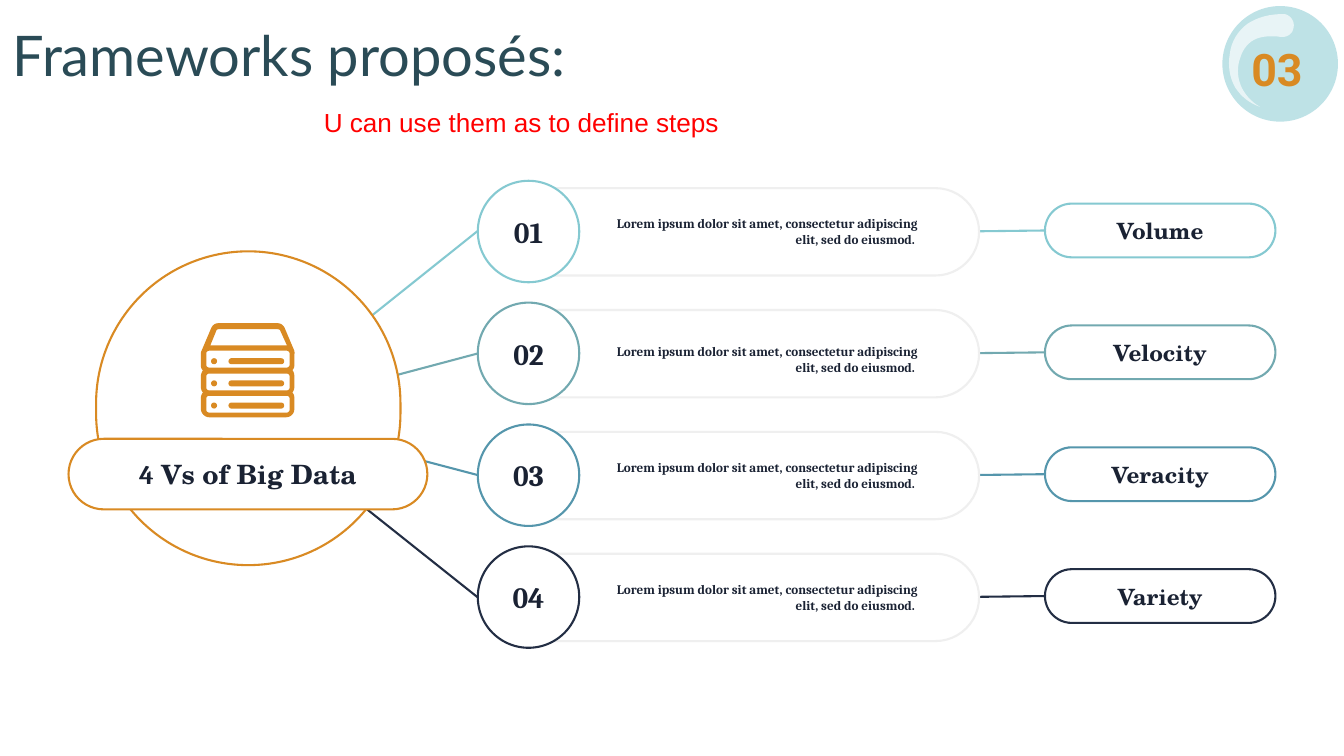
import lxml.etree
import pptx
import pptx.dml.color
import pptx.enum.shapes
import pptx.enum.text
import pptx.oxml
import pptx.oxml.ns
import pptx.util

Inches = pptx.util.Inches
Pt = pptx.util.Pt
RGBColor = pptx.dml.color.RGBColor
KIND = pptx.enum.shapes.MSO_SHAPE
ALIGN = pptx.enum.text.PP_ALIGN
ANCHOR = pptx.enum.text.MSO_ANCHOR
qn = pptx.oxml.ns.qn

WHITE = RGBColor(0xFF, 0xFF, 0xFF)
INK = RGBColor(0x1A, 0x22, 0x33)
SLATE = RGBColor(0x2A, 0x4B, 0x56)
RED = RGBColor(0xFF, 0x00, 0x00)
ORANGE = RGBColor(0xD9, 0x8A, 0x23)
TEAL = RGBColor(0x47, 0xAE, 0xBA)
PALE = RGBColor(0xEF, 0xEF, 0xEF)
TINTS = [
    RGBColor(0x85, 0xC9, 0xD1),
    RGBColor(0x72, 0xA9, 0xB0),
    RGBColor(0x55, 0x96, 0xAC),
    RGBColor(0x23, 0x2E, 0x44),
]
SERIF = "TeX Gyre Schola"
PITCH = 5.44 / 3

deck = pptx.Presentation()
deck.slide_width = Inches(20)
deck.slide_height = Inches(11.25)
slide = deck.slides.add_slide(deck.slide_layouts[5])
shapes = slide.shapes


def form(kind, left, top, width, height, fill, line=None):
    shape = shapes.add_shape(kind, Inches(left), Inches(top), Inches(width), Inches(height))
    shape.shadow.inherit = False
    shape.fill.solid()
    shape.fill.fore_color.rgb = fill
    if line is None:
        shape.line.fill.background()
    else:
        shape.line.color.rgb = line
        shape.line.width = Pt(2.25)
    if kind == KIND.ROUNDED_RECTANGLE:
        shape.adjustments[0] = 0.5
    return shape


def write(shape, text, size, font, color, bold=True, align=ALIGN.CENTER,
          anchor=ANCHOR.MIDDLE, pad=(0.15, 0.15)):
    frame = shape.text_frame
    frame.word_wrap = True
    frame.auto_size = pptx.enum.text.MSO_AUTO_SIZE.NONE
    frame.vertical_anchor = anchor
    frame.margin_left = frame.margin_right = Inches(pad[0])
    frame.margin_top = frame.margin_bottom = Inches(pad[1])
    frame.text = text
    para = frame.paragraphs[0]
    para.alignment = align
    run = para.runs[0]
    run.font.size = Pt(size)
    run.font.name = font
    run.font.bold = bold
    run.font.color.rgb = color
    return para


title = shapes.title
title.left, title.top = Inches(0.19), Inches(0.09)
title.width, title.height = Inches(18.02), Inches(1.14)
para = write(title, "Frameworks proposés:", 60, "Lato", SLATE, False,
             ALIGN.LEFT, ANCHOR.TOP, (0, 0))
para.line_spacing = Pt(87.2)

bubble = form(KIND.OVAL, 18.19, 0.09, 1.72, 1.72, TEAL)

glint = [[
    (19.09, 0.21), (19.1, 0.21, 19.11, 0.21, 19.12, 0.21),
    (19.21, 0.23, 19.27, 0.32, 19.25, 0.41), (19.24, 0.5, 19.16, 0.55, 19.09, 0.55),
    (19.05, 0.55), (19.01, 0.54, 18.97, 0.54, 18.92, 0.54),
    (18.84, 0.54, 18.76, 0.55, 18.69, 0.58), (18.59, 0.62, 18.5, 0.72, 18.46, 0.85),
    (18.41, 0.98, 18.41, 1.13, 18.46, 1.26), (18.51, 1.39, 18.61, 1.51, 18.75, 1.59),
    (18.6, 1.54, 18.47, 1.44, 18.38, 1.3), (18.3, 1.16, 18.27, 0.98, 18.3, 0.81),
    (18.32, 0.62, 18.42, 0.46, 18.57, 0.35), (18.73, 0.25, 18.9, 0.21, 19.09, 0.21),
]]
rack = [
    [(3.25, 4.81), (3.2, 4.81, 3.16, 4.84, 3.14, 4.89), (3, 5.22),
     (2.99, 5.24, 2.99, 5.25, 2.99, 5.27), (2.99, 5.44),
     (2.99, 5.47, 3, 5.5, 3.02, 5.51), (3, 5.54, 2.99, 5.57, 2.99, 5.6), (2.99, 5.76),
     (2.99, 5.79, 3, 5.82, 3.02, 5.84), (3, 5.87, 2.99, 5.89, 2.99, 5.92), (2.99, 6.09),
     (2.99, 6.15, 3.05, 6.21, 3.11, 6.21), (4.26, 6.21),
     (4.33, 6.21, 4.38, 6.15, 4.38, 6.09), (4.38, 5.92),
     (4.38, 5.89, 4.37, 5.86, 4.35, 5.84), (4.37, 5.82, 4.38, 5.79, 4.38, 5.76),
     (4.38, 5.6), (4.38, 5.56, 4.37, 5.53, 4.35, 5.51),
     (4.37, 5.49, 4.38, 5.47, 4.38, 5.44), (4.38, 5.27),
     (4.39, 5.25, 4.38, 5.24, 4.38, 5.22), (4.24, 4.89),
     (4.22, 4.84, 4.18, 4.81, 4.13, 4.81)],
    [(4.13, 4.9), (4.15, 4.9, 4.17, 4.91, 4.17, 4.92), (4.27, 5.14), (3.13, 5.14),
     (3.22, 4.92), (3.22, 4.91, 3.24, 4.9, 3.25, 4.9)],
]
for top in (5.22, 5.56, 5.89):
    low = top + 0.25
    rack.append([
        (4.27, top), (4.29, top, 4.31, top + 0.02, 4.31, top + 0.04),
        (4.31, low - 0.04), (4.31, low - 0.02, 4.29, low, 4.27, low),
        (3.11, low), (3.09, low, 3.07, low - 0.02, 3.07, low - 0.04),
        (3.07, top + 0.04), (3.07, top + 0.02, 3.09, top, 3.11, top),
    ])

drawn = []
for loops, fill in ((glint, WHITE), (rack, ORANGE)):
    pen = None
    for loop in loops:
        spots = [loop[0]]
        for step in loop[1:]:
            if len(step) == 2:
                spots.append(step)
                continue
            ends = [spots[-1], step[:2], step[2:4], step[4:]]
            for tick in range(1, 9):
                t = tick / 8
                parts = ((1 - t) ** 3, 3 * t * (1 - t) ** 2, 3 * t * t * (1 - t), t ** 3)
                spots.append(tuple(sum(w * end[axis] for w, end in zip(parts, ends))
                                   for axis in (0, 1)))
        spots = [(Inches(x), Inches(y)) for x, y in spots]
        if pen is None:
            pen = shapes.build_freeform(*spots[0], scale=1.0)
        else:
            pen.move_to(*spots[0])
        pen.add_line_segments(spots[1:], close=True)
    shape = pen.convert_to_shape()
    shape.shadow.inherit = False
    shape.fill.solid()
    shape.fill.fore_color.rgb = fill
    shape.line.fill.background()
    drawn.append(shape)
shine, server = drawn

for shape, alpha in ((bubble, 35), (shine, 65)):
    color = shape.element.spPr.find(qn("a:solidFill")).find(qn("a:srgbClr"))
    lxml.etree.SubElement(color, qn("a:alpha")).set("val", str(alpha * 1000))

badge = shapes.add_textbox(Inches(18.42), Inches(0.37), Inches(1.19), Inches(1.25))
write(badge, "03", 48, "Roboto", ORANGE, True, ALIGN.LEFT, ANCHOR.BOTTOM, (0.2, 0.2))
hint = shapes.add_textbox(Inches(4.72), Inches(1.54), Inches(9.85), Inches(0.57))
write(hint, "U can use them as to define steps", 28, "Arial", RED, False,
      ALIGN.LEFT, ANCHOR.TOP, (0.1, 0.05))

lines = []
for row, name in enumerate(("Volume", "Velocity", "Veracity", "Variety")):
    drop = row * PITCH
    pill = form(KIND.ROUNDED_RECTANGLE, 15.55, 3.03 + drop, 3.43, 0.8, WHITE, TINTS[row])
    write(pill, name, 24, SERIF, INK)
    link = shapes.add_connector(pptx.enum.shapes.MSO_CONNECTOR.STRAIGHT, Inches(13.85),
                                Inches(3.45 + drop), Inches(15.55), Inches(3.43 + drop))
    link.end_connect(pill, 1)
    lines.append((link, TINTS[row]))

for row in range(4):
    form(KIND.ROUNDED_RECTANGLE, 7.33, 2.8 + row * PITCH, 7.24, 1.3, WHITE, PALE)

for row, (right, low) in enumerate(((7.33, 3.26), (7.11, 5.26), (7.11, 7.07), (7.11, 8.89))):
    spoke = shapes.add_connector(pptx.enum.shapes.MSO_CONNECTOR.STRAIGHT, Inches(3.69),
                                 Inches(6.17), Inches(right), Inches(low))
    lines.append((spoke, TINTS[row]))
    disc = form(KIND.OVAL, 7.11, 2.69 + row * PITCH, 1.51, 1.51, WHITE, TINTS[row])
    write(disc, f"0{row + 1}", 31.5, "Cambria", INK, pad=(0, 0.15))

for line, tint in lines:
    line.line.color.rgb = tint
    line.line.width = Pt(2.25)
    lxml.etree.SubElement(line.element.spPr, qn("a:effectLst"))

form(KIND.ROUNDED_RECTANGLE, 1.43, 3.74, 4.53, 4.67, WHITE, ORANGE)
shapes.element.append(server.element)
for top in (5.33, 5.66, 5.99):
    form(KIND.ROUNDED_RECTANGLE, 3.4, top, 0.83, 0.09, ORANGE)
    form(KIND.OVAL, 3.14, top, 0.09, 0.09, ORANGE)

banner = form(KIND.ROUNDED_RECTANGLE, 1.02, 6.53, 5.34, 1.05, WHITE, ORANGE)
para = write(banner, "4", 28.5, "Cambria", INK)
rest = para.add_run()
rest.text = " Vs of Big Data"
rest.font.size = Pt(28.5)
rest.font.name = SERIF
rest.font.bold = True
rest.font.color.rgb = INK

for top in (3.16, 5.06, 6.79, 8.6):
    note = shapes.add_textbox(Inches(8.99), Inches(top), Inches(4.77), Inches(0.57))
    write(note, "Lorem ipsum dolor sit amet, consectetur adipiscing elit, sed do eiusmod. ",
          14, "Cambria", INK, align=ALIGN.RIGHT, pad=(0.1, 0.05))

deck.save("out.pptx")
